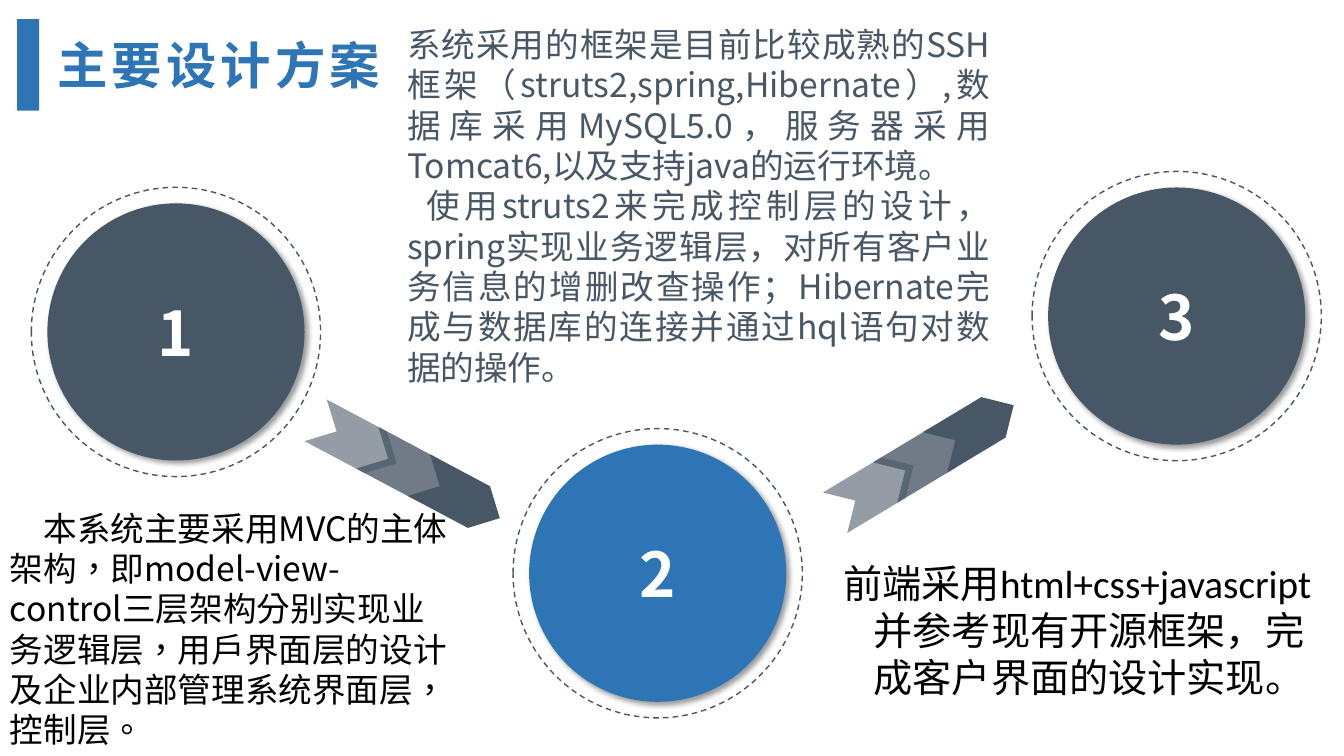
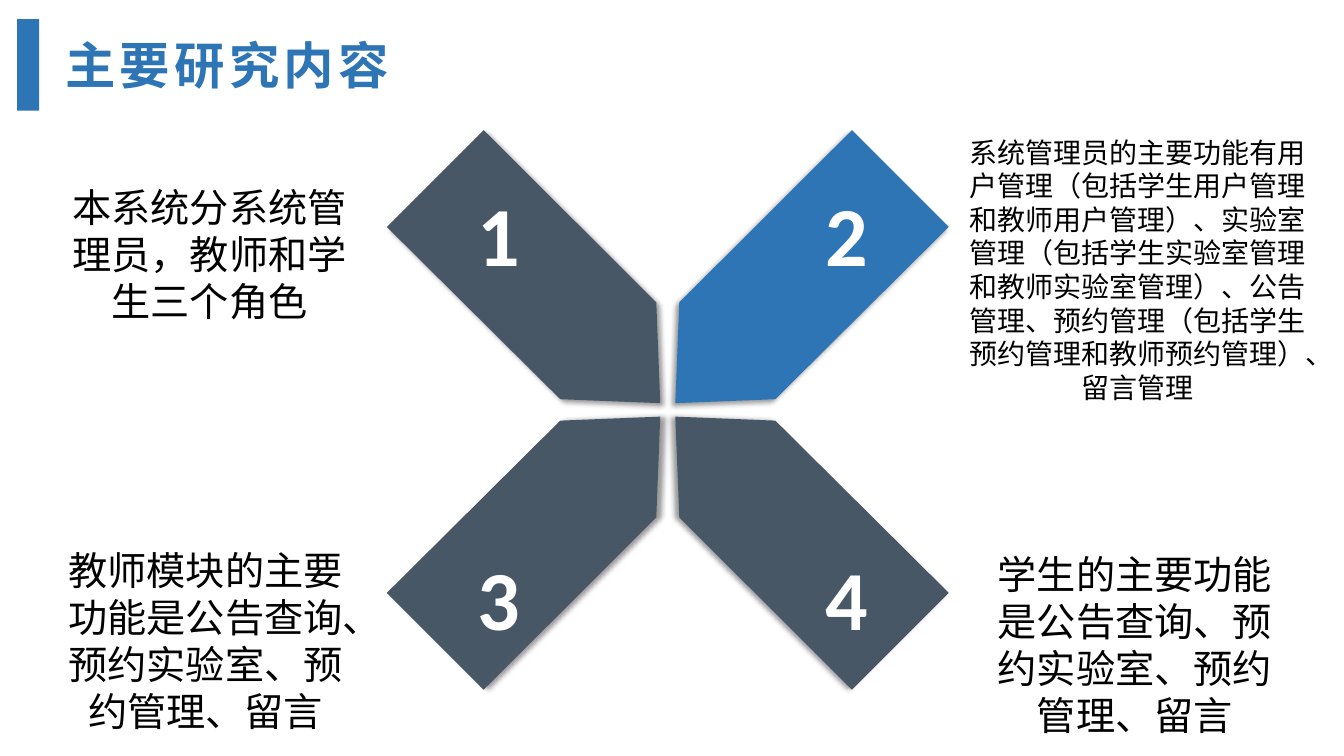
from lxml import etree
from pptx import Presentation
from pptx.dml.color import RGBColor
from pptx.enum.dml import MSO_LINE
from pptx.enum.shapes import MSO_SHAPE
from pptx.enum.text import MSO_ANCHOR, PP_ALIGN
from pptx.oxml.ns import qn
from pptx.util import Cm, Pt

OVAL, CHEVRON, RECT = MSO_SHAPE.OVAL, MSO_SHAPE.CHEVRON, MSO_SHAPE.RECTANGLE
LEFT, CENTER, JUSTIFY = PP_ALIGN.LEFT, PP_ALIGN.CENTER, PP_ALIGN.JUSTIFY
MIDDLE = MSO_ANCHOR.MIDDLE
DASH = MSO_LINE.DASH

COLORS = {"slate": "485766", "blue": "2E75B6", "white": "FFFFFF", "black": "000000"}
CJK, LATIN = "Noto Sans CJK SC", "Calibri"
SLIDE_W, SLIDE_H = 33.87, 19.05

RING, DISC = 7.29, 6.48
CHEVRON_W, CHEVRON_H = 2.31, 1.19
CHEVRON_ALPHAS = (58, 78, 100)
ARROW = [(16.54, 7.62), (16.64, 10.16), (14.12, 10.06), (9.75, 5.72), (12.19, 3.28)]
MIRROR_X, MIRROR_Y = 33.66, 20.66


def rgb(name):
    return RGBColor.from_string(COLORS[name])


def style_paragraph(p, size, color, font=CJK, bold=False, align=LEFT,
                    margin=0, indent=0, spacing=None, lang="zh-CN"):
    p.alignment = align
    if margin or indent:
        pPr = p._p.get_or_add_pPr()
        pPr.set("marL", str(Cm(margin)))
        pPr.set("indent", str(Cm(indent)))
    f = p.font
    f.size, f.bold, f.name = Pt(size), bold, font
    f.color.rgb = rgb(color)
    rPr = f._rPr
    rPr.set("lang", lang)
    if spacing:
        rPr.set("spc", str(spacing * 100))
    etree.SubElement(rPr, qn("a:ea")).set("typeface", CJK)


def add_text(s, box, paragraphs, size, color="black", wrap=True, indents=None, **style):
    tf = s.shapes.add_textbox(*map(Cm, box)).text_frame
    tf.word_wrap = wrap
    for i, text in enumerate(paragraphs):
        p = tf.paragraphs[0] if i == 0 else tf.add_paragraph()
        p.text = text
        extra = {"indent": indents[i]} if indents else {}
        style_paragraph(p, size, color, **style, **extra)


def fill_shape(sp, color, alpha=100):
    sp.shadow.inherit = False
    sp.line.fill.background()
    sp.fill.solid()
    sp.fill.fore_color.rgb = rgb(color)
    if alpha < 100:
        clr = sp._element.spPr.find(".//" + qn("a:srgbClr"))
        etree.SubElement(clr, qn("a:alpha")).set("val", str(alpha * 1000))


def add_shadow(sp, direction):
    effects = sp._element.spPr.find(qn("a:effectLst"))
    shadow = etree.SubElement(effects, qn("a:outerShdw"), blurRad=str(Pt(4)),
                              dist=str(Pt(3)), dir=str(direction * 60000),
                              algn="ctr", rotWithShape="0")
    clr = etree.SubElement(shadow, qn("a:srgbClr"), val=COLORS["black"])
    etree.SubElement(clr, qn("a:alpha"), val="40000")


def add_title(s, left, text):
    add_text(s, (left, 0.74, 8.81, 1.8), [text], 36, "blue",
             wrap=False, bold=True, spacing=3)
    bar = s.shapes.add_shape(RECT, Cm(0.43), Cm(0.48), Cm(0.56), Cm(2.31))
    fill_shape(bar, "blue")


def add_step(s, left, top, number, color):
    ring = s.shapes.add_shape(OVAL, Cm(left), Cm(top), Cm(RING), Cm(RING))
    ring.shadow.inherit = False
    ring.fill.background()
    ring.line.color.rgb = rgb("slate")
    ring.line.width = Pt(1)
    ring.line.dash_style = DASH
    gap = (RING - DISC) / 2
    disc = s.shapes.add_shape(OVAL, Cm(left + gap), Cm(top + gap), Cm(DISC), Cm(DISC))
    fill_shape(disc, color)
    add_shadow(disc, 45)
    tf = disc.text_frame
    tf.vertical_anchor = MIDDLE
    p = tf.paragraphs[0]
    p.text = number
    style_paragraph(p, 44, "white", bold=True, align=CENTER)


def add_chevrons(s, left, top, dx, dy, rotation):
    for i, alpha in enumerate(CHEVRON_ALPHAS):
        sp = s.shapes.add_shape(CHEVRON, Cm(left + i * dx), Cm(top + i * dy),
                                Cm(CHEVRON_W), Cm(CHEVRON_H))
        sp.rotation = rotation
        fill_shape(sp, "slate", alpha)


def add_arrow(s, flip_x, flip_y, color, direction):
    points = [(Cm(MIRROR_X - x if flip_x else x), Cm(MIRROR_Y - y if flip_y else y))
              for x, y in ARROW]
    builder = s.shapes.build_freeform(*points[0])
    builder.add_line_segments(points[1:])
    sp = builder.convert_to_shape()
    fill_shape(sp, color)
    add_shadow(sp, direction)


def build_design(s):
    for step in ((0.79, 4.72, "1", "slate"), (12.93, 10.8, "2", "blue"),
                 (26.01, 4.32, "3", "slate")):
        add_step(s, *step)
    add_chevrons(s, 7.82, 10.54, 1.3, 0.69, 28)
    add_chevrons(s, 20.88, 11.73, 1.26, -0.76, 329)
    add_text(s, (10.01, 0.48, 15.19, 9.47), [
        "系统采用的框架是目前比较成熟的SSH框架（struts2,spring,Hibernate）,"
        "数据库采用MySQL5.0，服务器采用Tomcat6,以及支持java的运行环境。",
        "使用struts2来完成控制层的设计，spring实现业务逻辑层，对所有客户业务信息的"
        "增删改查操作；Hibernate完成与数据库的连接并通过hql语句对数据的操作。",
    ], 24, "slate", align=JUSTIFY, indents=(0, 0.48))
    add_text(s, (20.8, 13.97, 12.7, 3.84), [
        "前端采用html+css+javascript并参考现有开源框架，完成客户界面的设计实现。",
    ], 28, font=LATIN, margin=0.97, indent=-0.76)
    add_text(s, (0, 12.67, 11.58, 6.4), [
        "本系统主要采用MVC的主体架构，即model-view-control三层架构分别实现业务逻辑层，"
        "用户界面层的设计及企业内部管理系统界面层，控制层。",
    ], 24, indent=0.85, lang="zh-TW")
    add_title(s, 1.19, "主要设计方案")


def build_research(s):
    for arrow in ((False, False, "slate", 45), (True, False, "blue", 135),
                  (False, True, "slate", 0), (True, True, "slate", 180)):
        add_arrow(s, *arrow)
    for i in range(4):
        row, col = divmod(i, 2)
        add_text(s, (11.61 + col * 8.79, 4.47 + row * 9.17, 1.9, 2.82),
                 [str(i + 1)], 60, "white", font=LATIN, bold=True, align=CENTER)
    roles = (
        ((1.09, 4.5, 8.38, 3.84), 28, "本系统分系统管理员，教师和学生三个角色"),
        ((23.9, 3.28, 9.53, 7.09), 20,
         "系统管理员的主要功能有用户管理（包括学生用户管理和教师用户管理）、"
         "实验室管理（包括学生实验室管理和教师实验室管理）、公告管理、"
         "预约管理（包括学生预约管理和教师预约管理）、留言管理"),
        ((0.99, 13.64, 8.38, 5.03), 28,
         "教师模块的主要功能是公告查询、预约实验室、预约管理、留言"),
        ((24.41, 13.74, 8.38, 5.03), 28,
         "学生的主要功能是公告查询、预约实验室、预约管理、留言"),
    )
    for box, size, text in roles:
        add_text(s, box, [text], size, align=CENTER)
    add_title(s, 1.4, "主要研究内容")


def main():
    prs = Presentation()
    prs.slide_width, prs.slide_height = Cm(SLIDE_W), Cm(SLIDE_H)
    for build in (build_design, build_research):
        build(prs.slides.add_slide(prs.slide_layouts[6]))
    prs.save("out.pptx")


if __name__ == "__main__":
    main()
